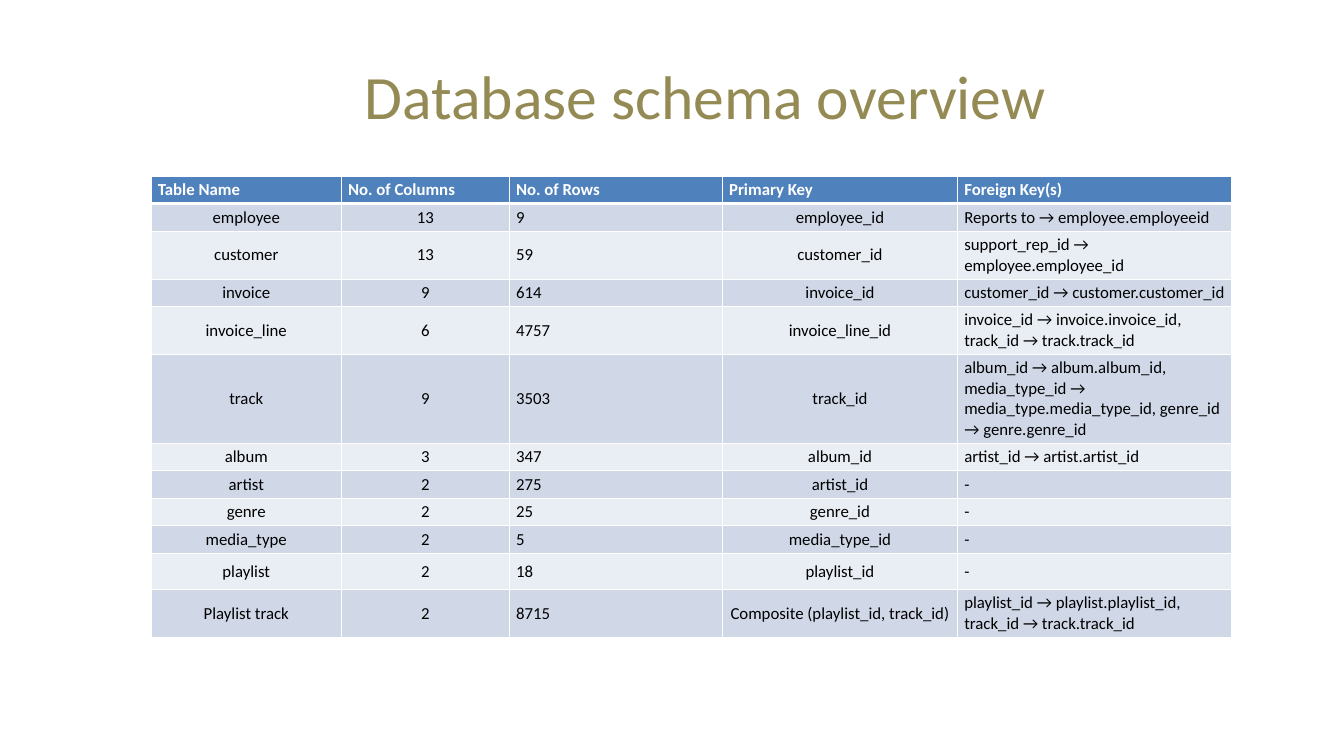
from lxml.etree import SubElement
from pptx import Presentation
from pptx.dml.color import RGBColor as Rgb
from pptx.enum.text import MSO_ANCHOR as Anchor, MSO_AUTO_SIZE as AutoSize, PP_ALIGN as Align
from pptx.oxml.ns import qn
from pptx.util import Inches, Pt

# Content
TITLE = "Database schema overview"
HEADERS = ("Table Name", "No. of Columns", "No. of Rows", "Primary Key", "Foreign Key(s)")
TABLES = [
    ("employee", 13, 9, "employee_id", "Reports to → employee.employeeid"),
    ("customer", 13, 59, "customer_id", "support_rep_id → employee.employee_id"),
    ("invoice", 9, 614, "invoice_id", "customer_id → customer.customer_id"),
    ("invoice_line", 6, 4757, "invoice_line_id",
     "invoice_id → invoice.invoice_id, track_id → track.track_id"),
    ("track", 9, 3503, "track_id",
     "album_id → album.album_id, media_type_id → media_type.media_type_id, "
     "genre_id → genre.genre_id"),
    ("album", 3, 347, "album_id", "artist_id → artist.artist_id"),
    ("artist", 2, 275, "artist_id", "-"),
    ("genre", 2, 25, "genre_id", "-"),
    ("media_type", 2, 5, "media_type_id", "-"),
    ("playlist", 2, 18, "playlist_id", "-"),
    ("Playlist track", 2, 8715, "Composite (playlist_id, track_id)",
     "playlist_id → playlist.playlist_id, track_id → track.track_id"),
]

# Look and layout, in inches
COLORS = {"title": "948A54", "header": "4F81BD", "odd": "D0D8E8", "even": "E9EDF4",
          "text": "000000", "white": "FFFFFF"}
FONT = "Calibri"
WIDTH, HEIGHT = 20, 11.25
TABLE_LEFT, TABLE_TOP = 2.25, 2.62
COLUMN_WIDTHS = (2.83, 2.5, 3.17, 3.5, 4.08)
COLUMN_ALIGNS = (Align.CENTER, Align.CENTER, Align.LEFT, Align.CENTER, Align.LEFT)
ROW_HEIGHT = 0.41
TALL_ROWS = {"customer": 0.7, "invoice_line": 0.7, "track": 1.32,
             "playlist": 0.54, "Playlist track": 0.7}


def write(frame, text, size=18, color="text", bold=False, align=Align.LEFT, spacing=None):
    para = frame.paragraphs[0]
    para.alignment = align
    if spacing:
        para.line_spacing = Pt(spacing)
    span = para.add_run()
    span.text = str(text)
    span.font.name, span.font.size, span.font.bold = FONT, Pt(size), bold
    span.font.color.rgb = Rgb.from_string(COLORS[color])


def set_borders(cell, **widths):
    properties = cell._tc.get_or_add_tcPr()
    for side in "LRTB":
        line = SubElement(properties, qn(f"a:ln{side}"), w=str(Pt(widths.get(side, 1))))
        fill = SubElement(line, qn("a:solidFill"))
        SubElement(fill, qn("a:srgbClr"), val=COLORS["white"])


def add_title(page):
    box = page.shapes.add_textbox(Inches(3.08), Inches(0.66), Inches(14.83), Inches(1.33))
    box.text_frame.word_wrap = True
    box.text_frame.auto_size = AutoSize.SHAPE_TO_FIT_TEXT
    write(box.text_frame, TITLE, size=66, color="title", align=Align.CENTER, spacing=90)


def add_schema(page):
    rows = [HEADERS] + TABLES
    heights = [TALL_ROWS.get(row[0], ROW_HEIGHT) for row in rows]
    grid = page.shapes.add_table(
        len(rows), len(HEADERS), Inches(TABLE_LEFT), Inches(TABLE_TOP),
        Inches(sum(COLUMN_WIDTHS)), Inches(sum(heights))).table
    for column, width in zip(grid.columns, COLUMN_WIDTHS):
        column.width = Inches(width)
    for r, (row, height) in enumerate(zip(rows, heights)):
        grid.rows[r].height = Inches(height)
        header = r == 0
        shade = "header" if header else "odd" if r % 2 else "even"
        for c, value in enumerate(row):
            cell = grid.cell(r, c)
            cell.vertical_anchor = Anchor.MIDDLE
            # The rule under the header is thicker
            set_borders(cell, B=3 if header else 1, T=3 if r == 1 else 1)
            cell.fill.solid()
            cell.fill.fore_color.rgb = Rgb.from_string(COLORS[shade])
            write(cell.text_frame, value, bold=header,
                  color="white" if header else "text",
                  align=Align.LEFT if header else COLUMN_ALIGNS[c])


def main():
    deck = Presentation()
    deck.slide_width, deck.slide_height = Inches(WIDTH), Inches(HEIGHT)
    page = deck.slides.add_slide(deck.slide_layouts[6])
    add_schema(page)
    add_title(page)
    deck.save("out.pptx")


if __name__ == "__main__":
    main()
